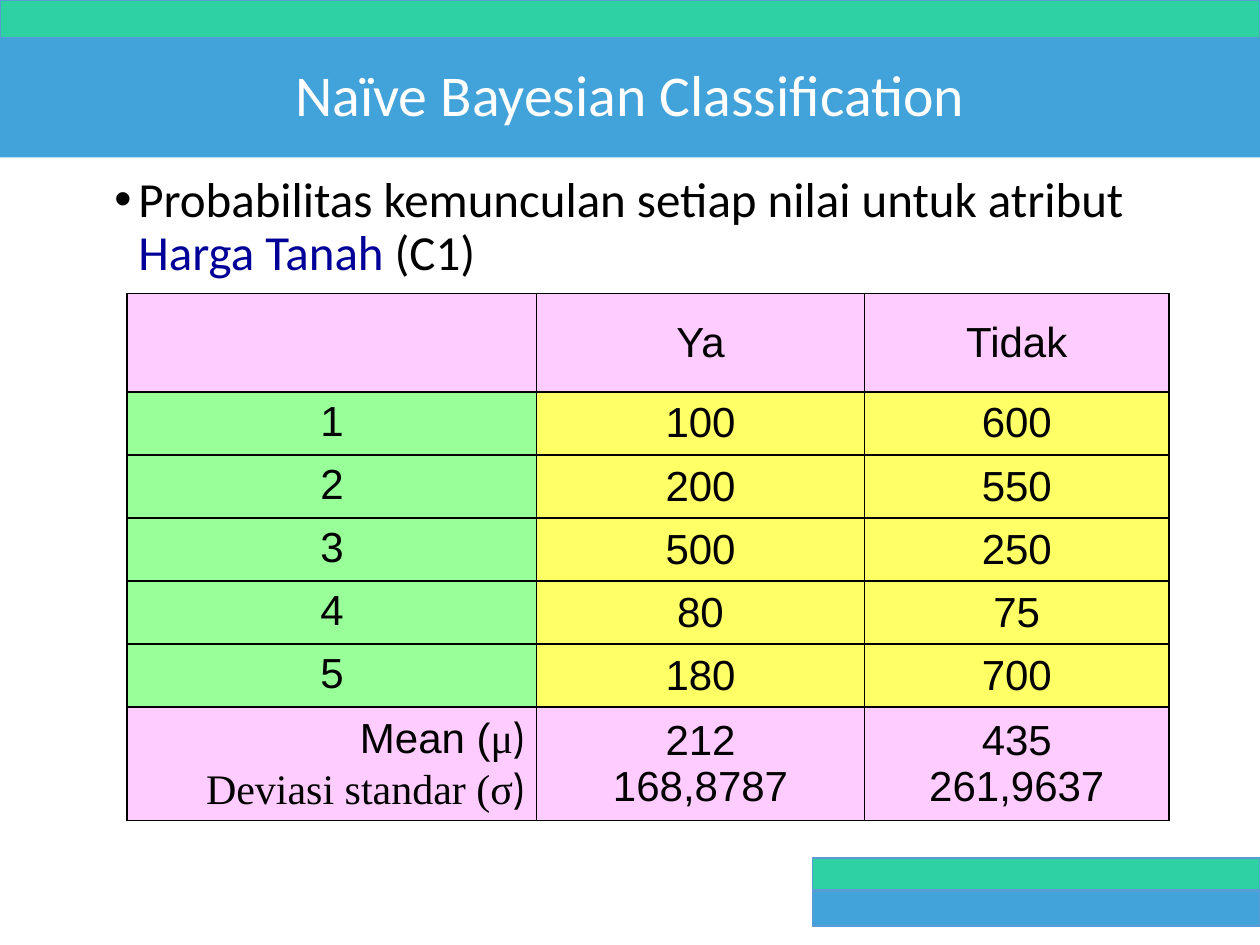
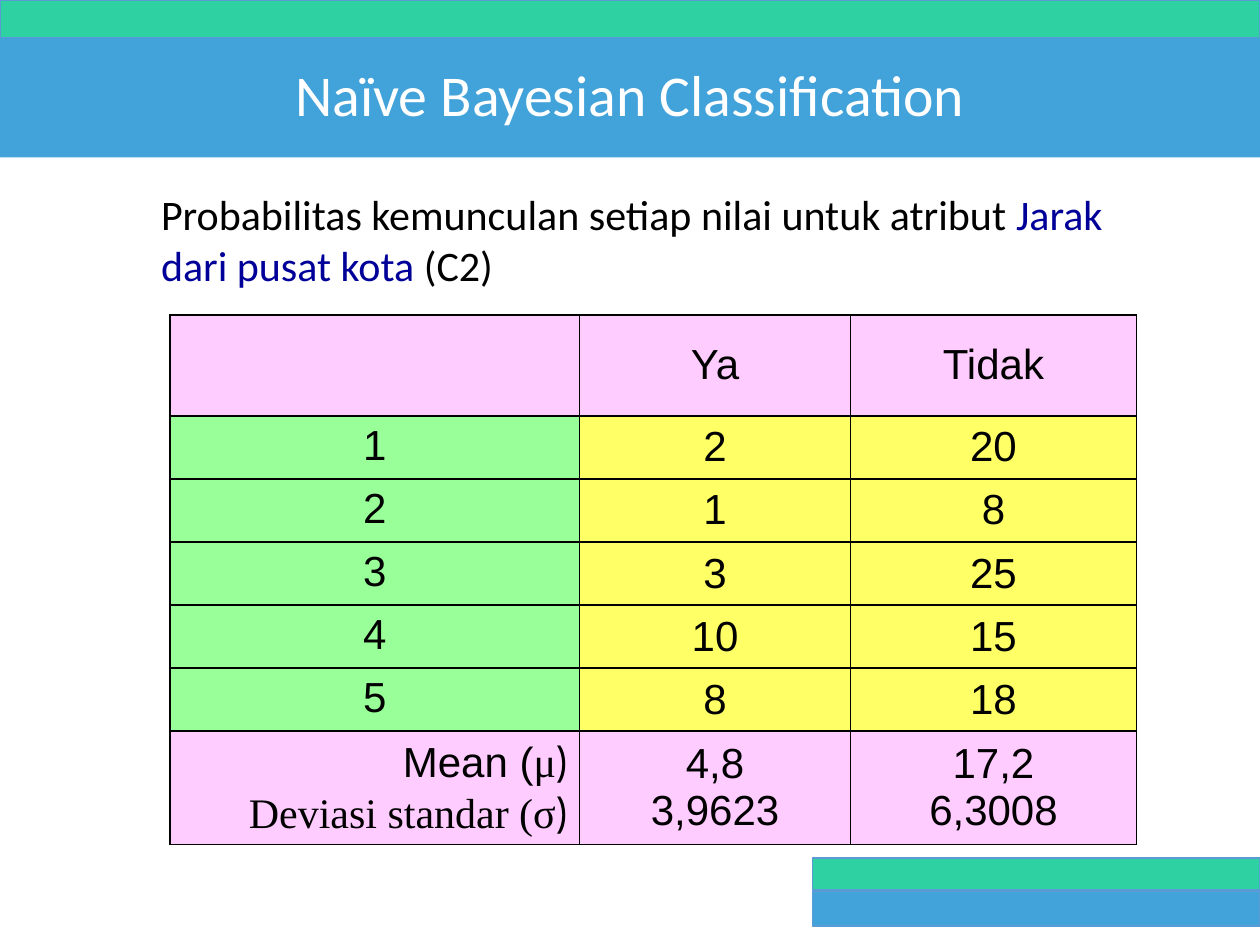
"""Builds two slides on attribute probabilities in Naïve Bayesian classification."""
from lxml.etree import SubElement
from pptx import Presentation
from pptx.dml.color import RGBColor
from pptx.enum.shapes import MSO_SHAPE
from pptx.enum.text import MSO_ANCHOR, PP_ALIGN
from pptx.oxml import parse_xml
from pptx.oxml.ns import nsdecls, qn
from pptx.util import Inches, Pt

GREEN = RGBColor(0x2E, 0xD1, 0xA2)
BLUE = RGBColor(0x42, 0xA2, 0xDA)
OUTLINE = RGBColor(0x5B, 0x9B, 0xD5)
NAVY = RGBColor(0x00, 0x00, 0x99)
BLACK = RGBColor(0x00, 0x00, 0x00)
WHITE = RGBColor(0xFF, 0xFF, 0xFF)
PINK = RGBColor(0xFF, 0xCC, 0xFF)
MINT = RGBColor(0x99, 0xFF, 0x99)
YELLOW = RGBColor(0xFF, 0xFF, 0x66)
SANS, SERIF, ROUND, BODY = "Arial", "Times New Roman", "Cabin", "Calibri"

TITLE = "Naïve Bayesian Classification"
TITLE_BOX = (0, 0.3, 10, 0.95)
BANDS = [
    (0, 0, 10, 0.3, GREEN),
    (0, 0.3, 10, 0.3, BLUE),
    (6.45, 6.81, 3.55, 0.25, GREEN),
    (6.45, 7.07, 3.55, 0.28, BLUE),
]
INTRO = "Probabilitas kemunculan setiap nilai untuk atribut "
HEADINGS = ["", "Ya", "Tidak"]
STATISTICS = [
    [("Mean (", SANS), ("μ", SERIF), (")", ROUND)],
    [("Deviasi standar (σ", SERIF), (")", ROUND)],
]
SLIDES = [
    {
        "attribute": "Harga Tanah", "code": " (C1)",
        "intro_box": (0.44, 1.34, 8.6, 0.99), "size": 28,
        "indent": (0.56, -0.19), "bullet": "•", "spacing": 0.9,
        "table_at": (1.01, 2.33), "columns": [3.25, 2.6, 2.42],
        "edge_row": 0.78, "value_row": 0.47,
        "values": [(100, 600), (200, 550), (500, 250), (80, 75), (180, 700)],
        "results": [("212", "168,8787"), ("435", "261,9637")],
    },
    {
        "attribute": "Jarak dari pusat kota ", "code": "(C2)",
        "intro_box": (0.68, 1.45, 8.64, 1.31), "size": 24,
        "indent": (0.5, 0), "bullet": None, "spacing": 1.0,
        "table_at": (1.35, 2.5), "columns": [3.25, 2.15, 2.27],
        "edge_row": 0.8, "value_row": 0.48,
        "values": [(2, 20), (1, 8), (3, 25), (10, 15), (8, 18)],
        "results": [("4,8", "3,9623"), ("17,2", "6,3008")],
    },
]


def add_block(slide, box, fill, outlined=True):
    block = slide.shapes.add_shape(MSO_SHAPE.RECTANGLE, *map(Inches, box))
    block.shadow.inherit = False
    block.fill.solid()
    block.fill.fore_color.rgb = fill
    if outlined:
        block.line.color.rgb = OUTLINE
        block.line.width = Pt(0.9)
    else:
        block.line.fill.background()
    return block


def style(paragraph, size, color, font=None):
    paragraph.font.size = Pt(size)
    paragraph.font.color.rgb = color
    if font:
        paragraph.font.name = font


def add_frame(slide):
    for *box, fill in BANDS:
        add_block(slide, box, fill)
    title = add_block(slide, TITLE_BOX, BLUE, outlined=False).text_frame
    title.vertical_anchor = MSO_ANCHOR.MIDDLE
    heading = title.paragraphs[0]
    heading.text = TITLE
    heading.alignment = PP_ALIGN.CENTER
    heading.line_spacing = 0.9
    style(heading, 33, WHITE, BODY)


def add_intro(slide, content):
    frame = slide.shapes.add_textbox(*map(Inches, content["intro_box"])).text_frame
    frame.word_wrap = True
    intro = frame.paragraphs[0]
    intro.level = 1
    properties = intro._p.get_or_add_pPr()
    for key, length in zip(("marL", "indent"), content["indent"]):
        properties.set(key, str(Inches(length)))
    if content["bullet"]:
        SubElement(properties, qn("a:buFont")).set("typeface", SANS)
        SubElement(properties, qn("a:buChar")).set("char", content["bullet"])
    else:
        SubElement(properties, qn("a:buNone"))
    intro.line_spacing = content["spacing"]
    intro.font.size = Pt(content["size"])
    intro.font.name = BODY
    parts = [(INTRO, BLACK), (content["attribute"], NAVY), (content["code"], BLACK)]
    for text, color in parts:
        run = intro.add_run()
        run.text = text
        run.font.color.rgb = color


def fill_cell(cell, lines, fill, alignment=PP_ALIGN.CENTER, anchor=MSO_ANCHOR.MIDDLE):
    cell.fill.solid()
    cell.fill.fore_color.rgb = fill
    cell.vertical_anchor = anchor
    properties = cell._tc.get_or_add_tcPr()
    for position, side in enumerate("LRTB"):
        properties.insert(position, parse_xml(
            f'<a:ln{side} {nsdecls("a")} w="{Pt(1)}"><a:solidFill>'
            f'<a:srgbClr val="{BLACK}"/></a:solidFill></a:ln{side}>'))
    for number, line in enumerate(lines):
        frame = cell.text_frame
        paragraph = frame.add_paragraph() if number else frame.paragraphs[0]
        paragraph.alignment = alignment
        if isinstance(line, str):
            paragraph.text = line
            style(paragraph, 24, BLACK, SANS)
        else:
            style(paragraph, 24, BLACK)
            for text, font in line:
                run = paragraph.add_run()
                run.text = text
                run.font.name = font


def add_probabilities(slide, content):
    columns, values = content["columns"], content["values"]
    edge = content["edge_row"]
    heights = [edge, *[content["value_row"]] * len(values), edge]
    box = (*content["table_at"], sum(columns), sum(heights))
    table = slide.shapes.add_table(len(heights), len(columns), *map(Inches, box)).table
    table.first_row = table.horz_banding = False
    for column, width in zip(table.columns, columns):
        column.width = Inches(width)
    for row, height in zip(table.rows, heights):
        row.height = Inches(height)

    for column, heading in enumerate(HEADINGS):
        fill_cell(table.cell(0, column), [heading] if heading else [], PINK)
    for row, pair in enumerate(values, 1):
        fill_cell(table.cell(row, 0), [str(row)], MINT, anchor=MSO_ANCHOR.TOP)
        for column, value in enumerate(pair, 1):
            fill_cell(table.cell(row, column), [str(value)], YELLOW)
    last = len(heights) - 1
    fill_cell(table.cell(last, 0), STATISTICS, PINK, PP_ALIGN.RIGHT)
    for column, result in enumerate(content["results"], 1):
        fill_cell(table.cell(last, column), result, PINK)


def main():
    deck = Presentation()
    deck.slide_width, deck.slide_height = Inches(10), Inches(7.5)
    for content in SLIDES:
        slide = deck.slides.add_slide(deck.slide_layouts[6])
        add_frame(slide)
        add_intro(slide, content)
        add_probabilities(slide, content)
    deck.save("out.pptx")


if __name__ == "__main__":
    main()
